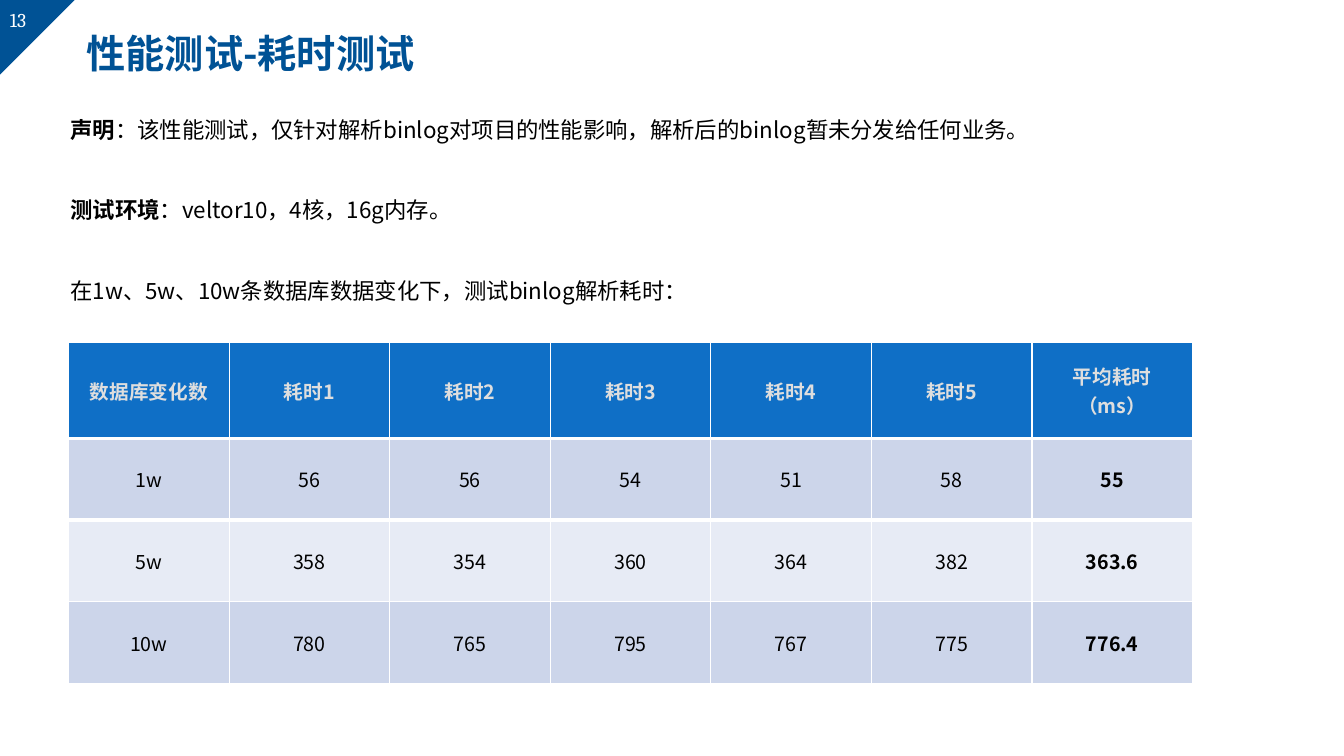
import pptx
import pptx.dml.color
import pptx.enum.shapes
import pptx.enum.text
import pptx.oxml
import pptx.oxml.ns
import pptx.util

WIDTH, HEIGHT = 13.33, 7.5
SANS, SERIF = "Noto Sans CJK SC", "Cambria"
NAVY, BLUE, WHITE, GRAY, BLACK = "005295", "0F6FC6", "FFFFFF", "DEDEDE", "000000"
BANDS = ("CCD5EA", "E7EBF5")

PAGE_NUMBER = "13"
TITLE = "性能测试-耗时测试"
# Each statement is a bold lead and a plain remainder.
STATEMENTS = [
    ("声明", "：该性能测试，仅针对解析binlog对项目的性能影响，解析后的binlog暂未分发给任何业务。"),
    ("测试环境", "：veltor10，4核，16g内存。"),
    ("", "在1w、5w、10w条数据库数据变化下，测试binlog解析耗时："),
]
TIMINGS = [
    ("数据库变化数", "耗时1", "耗时2", "耗时3", "耗时4", "耗时5", "平均耗时（ms）"),
    ("1w", "56", "56", "54", "51", "58", "55"),
    ("5w", "358", "354", "360", "364", "382", "363.6"),
    ("10w", "780", "765", "795", "767", "775", "776.4"),
]

CORNER_BOX = (-0.02, -0.02, 0.78, 0.78)
NUMBER_BOX = (0, 0.03, 0.49, 0.34)
TITLE_BOX = (0.76, 0.01, 11.89, 0.94)
STATEMENT_BOX = (0.6, 0.97, 11.28, 2.12)
TABLE_BOX = (0.68, 3.4, 11.15, 3.37)
HEADER_HEIGHT, ROW_HEIGHT = 0.95, 0.81
STATEMENT_LINE = 28.75
HEADER_RULE = 3

CENTER = pptx.enum.text.PP_ALIGN.CENTER
LEFT = pptx.enum.text.PP_ALIGN.LEFT
MIDDLE = pptx.enum.text.MSO_ANCHOR.MIDDLE


def inches(values):
    return [pptx.util.Inches(value) for value in values]


def color(value):
    return pptx.dml.color.RGBColor.from_string(value)


def fill(target, value):
    target.fill.solid()
    target.fill.fore_color.rgb = color(value)


def apply(target, **values):
    for name, value in values.items():
        setattr(target, name, value)


def add_run(paragraph, text, size, value, bold=False, font=SANS):
    run = paragraph.add_run()
    run.text = text
    apply(run.font, size=pptx.util.Pt(size), bold=bold, name=font)
    run.font.color.rgb = color(value)
    east_asian = pptx.oxml.parse_xml(
        f'<a:ea {pptx.oxml.ns.nsdecls("a")} typeface="{font}"/>')
    run.font._element.find(pptx.oxml.ns.qn("a:latin")).addnext(east_asian)


def add_edge(cell, side, width):
    """Draw a white border on one side of a cell: T or B."""
    edge = pptx.oxml.parse_xml(
        f'<a:ln{side} {pptx.oxml.ns.nsdecls("a")} w="{pptx.util.Pt(width)}">'
        f'<a:solidFill><a:srgbClr val="{WHITE}"/></a:solidFill></a:ln{side}>')
    cell._tc.get_or_add_tcPr().insert(0, edge)


def add_corner(slide):
    triangle = slide.shapes.add_shape(
        pptx.enum.shapes.MSO_SHAPE.RIGHT_TRIANGLE, *inches(CORNER_BOX))
    triangle.rotation = 90
    triangle.shadow.inherit = False
    fill(triangle, NAVY)
    triangle.line.fill.background()
    number = slide.shapes.add_textbox(*inches(NUMBER_BOX)).text_frame
    number.word_wrap = False
    add_run(number.paragraphs[0], PAGE_NUMBER, 14, WHITE, font=SERIF)


def add_title(slide):
    title = slide.shapes.title
    apply(title, **dict(zip(("left", "top", "width", "height"), inches(TITLE_BOX))))
    title.text_frame.vertical_anchor = MIDDLE
    paragraph = title.text_frame.paragraphs[0]
    apply(paragraph, alignment=LEFT, line_spacing=1.2)
    add_run(paragraph, TITLE, 28, NAVY, bold=True)


def add_statements(slide):
    frame = slide.shapes.add_textbox(*inches(STATEMENT_BOX)).text_frame
    frame.word_wrap = True
    for index, (lead, rest) in enumerate(STATEMENTS):
        paragraph = frame.add_paragraph() if index else frame.paragraphs[0]
        spacing = pptx.util.Pt(STATEMENT_LINE)
        apply(paragraph, line_spacing=spacing, space_after=spacing)
        if lead:
            add_run(paragraph, lead, 16, BLACK, bold=True)
        add_run(paragraph, rest, 16, BLACK)


def add_timings(slide):
    last_column = len(TIMINGS[0]) - 1
    table = slide.shapes.add_table(
        len(TIMINGS), last_column + 1, *inches(TABLE_BOX)).table
    for row_index, values in enumerate(TIMINGS):
        header = row_index == 0
        table.rows[row_index].height = pptx.util.Inches(
            HEADER_HEIGHT if header else ROW_HEIGHT)
        for column_index, text in enumerate(values):
            cell = table.cell(row_index, column_index)
            cell.vertical_anchor = MIDDLE
            fill(cell, BLUE if header else BANDS[(row_index - 1) % 2])
            if row_index < 2:
                add_edge(cell, "B" if header else "T", HEADER_RULE)
            paragraph = cell.text_frame.paragraphs[0]
            paragraph.alignment = CENTER
            add_run(paragraph, text, 14, GRAY if header else BLACK,
                    bold=header or column_index == last_column)


def main():
    presentation = pptx.Presentation()
    size = inches((WIDTH, HEIGHT))
    apply(presentation, slide_width=size[0], slide_height=size[1])
    slide = presentation.slides.add_slide(presentation.slide_layouts[5])
    add_corner(slide)
    add_title(slide)
    add_timings(slide)
    add_statements(slide)
    presentation.save("out.pptx")


if __name__ == "__main__":
    main()
